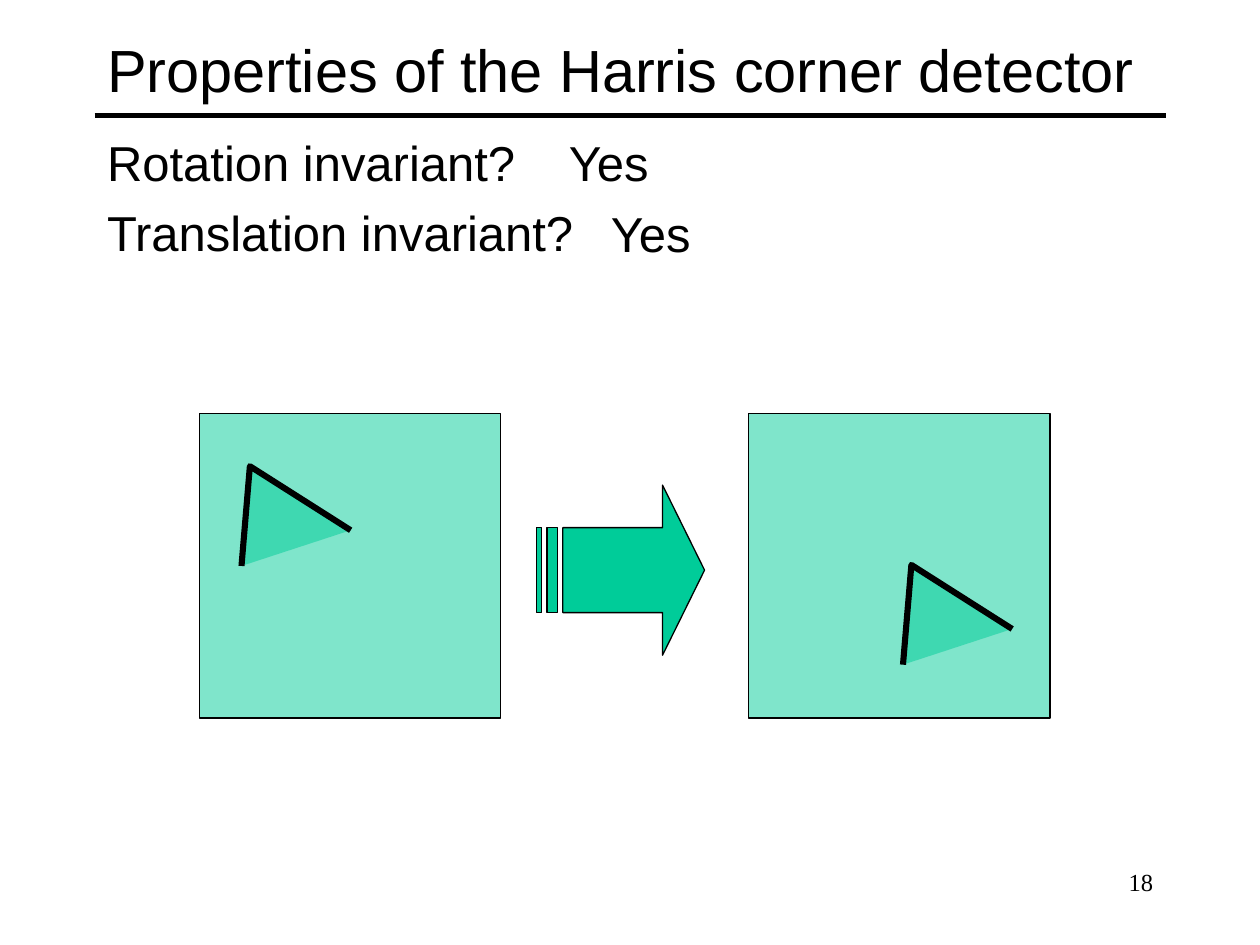
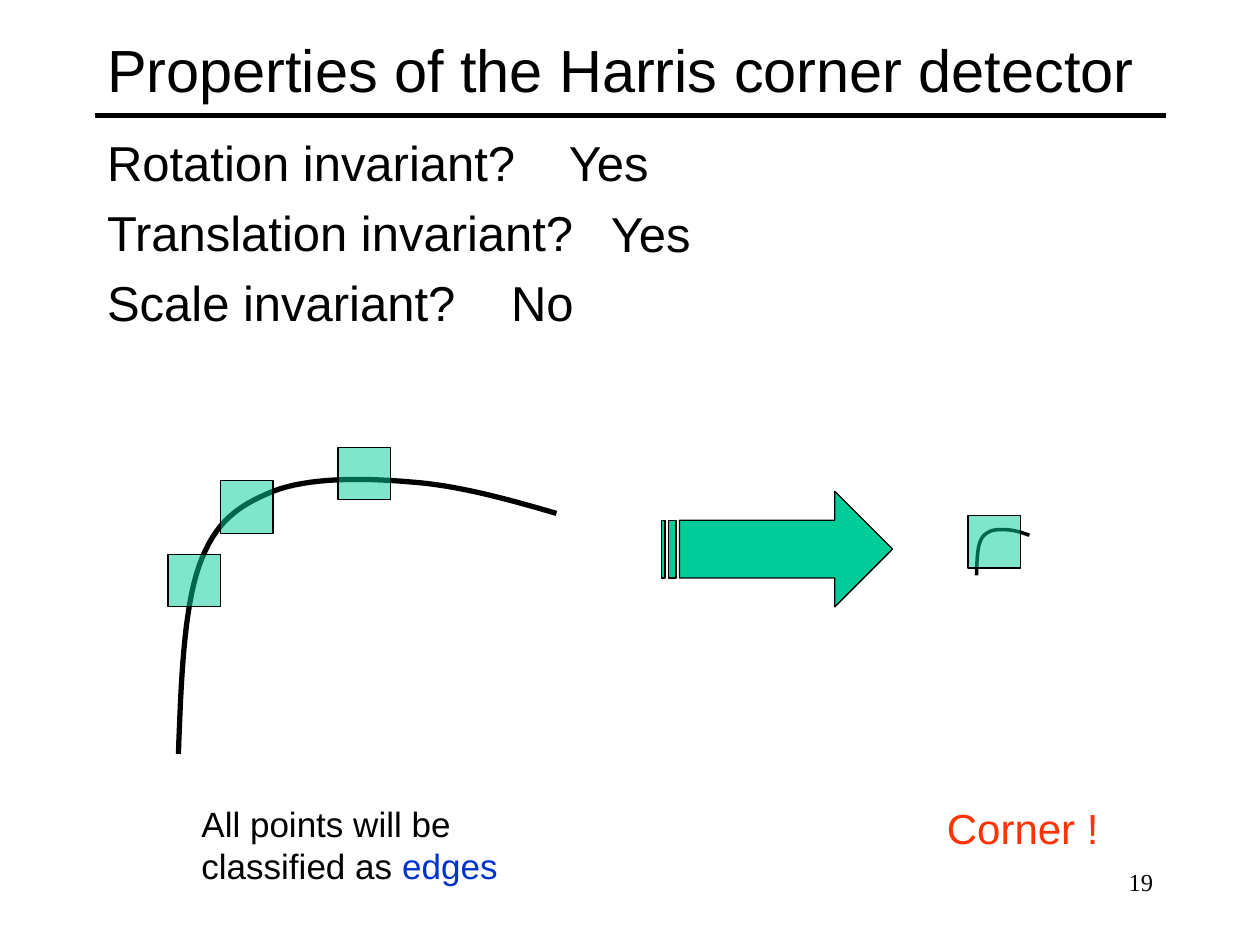
from pptx import Presentation
from pptx.dml.color import RGBColor
from pptx.enum.shapes import MSO_CONNECTOR, MSO_SHAPE
from pptx.enum.text import MSO_ANCHOR, MSO_AUTO_SIZE, PP_ALIGN
from pptx.oxml.ns import qn
from pptx.util import Pt
from lxml.etree import SubElement

prs = Presentation()
prs.slide_width, prs.slide_height = 9144000, 6858000
U = prs.slide_width // 120  # grid: 120 columns by 90 rows of square cells

BLACK, GREEN, BLUE, RED = "000000", "00CC99", "0033CC", "FF3300"
TITLE = {"name": "Arial", "size": Pt(34)}
BODY = {"name": "Arial", "size": Pt(28)}
NOTE = {"name": "Arial", "size": Pt(20)}
VERDICT = {"name": "Arial", "size": Pt(24)}
NUMBER = {"name": "Times New Roman", "size": Pt(14)}


def paint(fmt, color, alpha=None):
    """Give a fill, or the fill of a line, a solid colour."""
    fmt.solid()
    fmt.fore_color.rgb = RGBColor.from_string(color)
    if alpha:
        clr = next(fmt._xPr.iter(qn("a:srgbClr")))
        SubElement(clr, qn("a:alpha")).set("val", str(alpha * 1000))


def add_run(p, text, font, color=BLACK):
    r = p.add_run()
    r.text = text
    for key, value in font.items():
        setattr(r.font, key, value)
    paint(r.font.fill, color)


# What each slide says: questions, then text boxes (left, top, width, height, runs)
yes_boxes = [
    (53, 12, 25, 6.8, BODY, [("Yes", BLACK)]),
    (57, 18.8, 25, 6.8, BODY, [("Yes", BLACK)]),
]
scale_boxes = [
    (47.5, 25.4, 25, 6.8, BODY, [("No", BLACK)]),
    (18, 75.8, 34, 9.2, NOTE, [("All points will be classified as ", BLACK), ("edges", BLUE)]),
    (89, 75.8, 18, 6, VERDICT, [("Corner !", RED)]),
]
questions = ["Rotation invariant?", "Translation invariant?", "Scale invariant?"]

# Drawings: squares (left, top, width, height), arrow with its head share
frames = [(x, 39.4, 28.7, 29) for x in (19, 71.3)]
windows = [(x, y, 5, 5) for x, y in ((16, 52.8), (21, 45.8), (32.2, 42.6), (92.2, 49.1))]

# Triangle corner, before and after the move
corner = [(23, 53.9), (23.8, 44.4), (33.4, 50.5)]
triangles = [[(x + dx, y + dy) for x, y in corner] for dx, dy in ((0, 0), (63, 9.4))]

# Bezier control points of the curve, measured from its lower end
controls = [(0, 0), (0.25, -6.9), (0.5, -13.8), (2, -18), (3.5, -22.1), (5.6, -23.6), (9, -25),
            (12.3, -26.3), (17.5, -26.3), (22, -25.9), (26.5, -25.6), (31.2, -24.3), (36, -22.9)]
STEPS = 16
curve = [controls[0]]
for i in range(0, len(controls) - 1, 3):
    for step in range(1, STEPS + 1):
        t = step / STEPS
        weights = ((1 - t) ** 3, 3 * t * (1 - t) ** 2, 3 * t * t * (1 - t), t ** 3)
        curve.append(tuple(sum(w * c[axis] for w, c in zip(weights, controls[i:i + 4]))
                           for axis in (0, 1)))
curves = [[(x0 + sx * x, y0 + sy * y) for x, y in curve]
          for x0, y0, sx, sy in ((17, 71.8, 1, 1), (93, 54.8, 0.14, 0.167))]

# Outlines: points, line width, filled
pages = [
    {"number": "18", "questions": questions[:2], "boxes": yes_boxes, "squares": frames,
     "arrow": (51.1, 46.2, 16, 16.2), "head": 0.25, "squares_first": True,
     "outlines": [(pts, 3.5, True) for pts in triangles]},
    {"number": "19", "questions": questions, "boxes": yes_boxes + scale_boxes, "squares": windows,
     "arrow": (63, 46.8, 22, 11), "head": 0.5, "squares_first": False,
     "outlines": [(pts, width, False) for pts, width in zip(curves, (3, 2))]},
]

for page in pages:
    s = prs.slides.add_slide(prs.slide_layouts[1])

    # Title and rule
    title, body = s.placeholders
    for sp, box, anchor in ((title, (9, 1, 102, 11), MSO_ANCHOR.MIDDLE),
                            (body, (9, 12, 102, 30), MSO_ANCHOR.TOP)):
        sp.left, sp.top, sp.width, sp.height = [int(v * U) for v in box]
        sp.text_frame.auto_size = MSO_AUTO_SIZE.NONE
        sp.text_frame.vertical_anchor = anchor
    p = title.text_frame.paragraphs[0]
    p.alignment = PP_ALIGN.LEFT
    add_run(p, "Properties of the Harris corner detector", TITLE)
    rule = s.shapes.add_connector(MSO_CONNECTOR.STRAIGHT, 9 * U, 11 * U, 111 * U, 11 * U)
    paint(rule.line.fill, BLACK)
    rule.line.width = Pt(3)
    SubElement(rule._element.spPr, qn("a:effectLst"))

    # Questions
    tf = body.text_frame
    for i, question in enumerate(page["questions"]):
        p = tf.add_paragraph() if i else tf.paragraphs[0]
        pPr = p._p.get_or_add_pPr()
        pPr.set("marL", str(int(4.5 * U)))
        pPr.set("indent", str(int(-4.5 * U)))
        SubElement(pPr, qn("a:buNone"))
        p.space_before = Pt(6.5 if i else 0)
        add_run(p, question, BODY)

    # Outlines and squares, in their stacking order
    layers = ["squares", "outlines"] if page["squares_first"] else ["outlines", "squares"]
    for layer in layers:
        for item in page[layer]:
            if layer == "squares":
                sp = s.shapes.add_shape(MSO_SHAPE.RECTANGLE, *[int(v * U) for v in item])
                width, filled = 0.75, True
            else:
                pts, width, filled = item
                pts = [(int(x * U), int(y * U)) for x, y in pts]
                fb = s.shapes.build_freeform(*pts[0])
                fb.add_line_segments(pts[1:], close=False)
                sp = fb.convert_to_shape()
            if filled:
                paint(sp.fill, GREEN, 50)
            else:
                sp.fill.background()
            paint(sp.line.fill, BLACK)
            sp.line.width = Pt(width)
            sp.shadow.inherit = False

    # Arrow from before to after
    sp = s.shapes.add_shape(MSO_SHAPE.STRIPED_RIGHT_ARROW, *[int(v * U) for v in page["arrow"]])
    sp.adjustments[0], sp.adjustments[1] = 0.5, page["head"]
    paint(sp.fill, GREEN)
    paint(sp.line.fill, BLACK)
    sp.line.width = Pt(0.75)
    sp.shadow.inherit = False

    # Answers, notes and slide number
    number = (86, 82, 25, 6, NUMBER, [(page["number"], BLACK)])
    for *box, font, runs in page["boxes"] + [number]:
        tf = s.shapes.add_textbox(*[int(v * U) for v in box]).text_frame
        tf.word_wrap = True
        p = tf.paragraphs[0]
        p.alignment = PP_ALIGN.RIGHT if font is NUMBER else PP_ALIGN.LEFT
        for text, color in runs:
            add_run(p, text, font, color)

prs.save("out.pptx")
